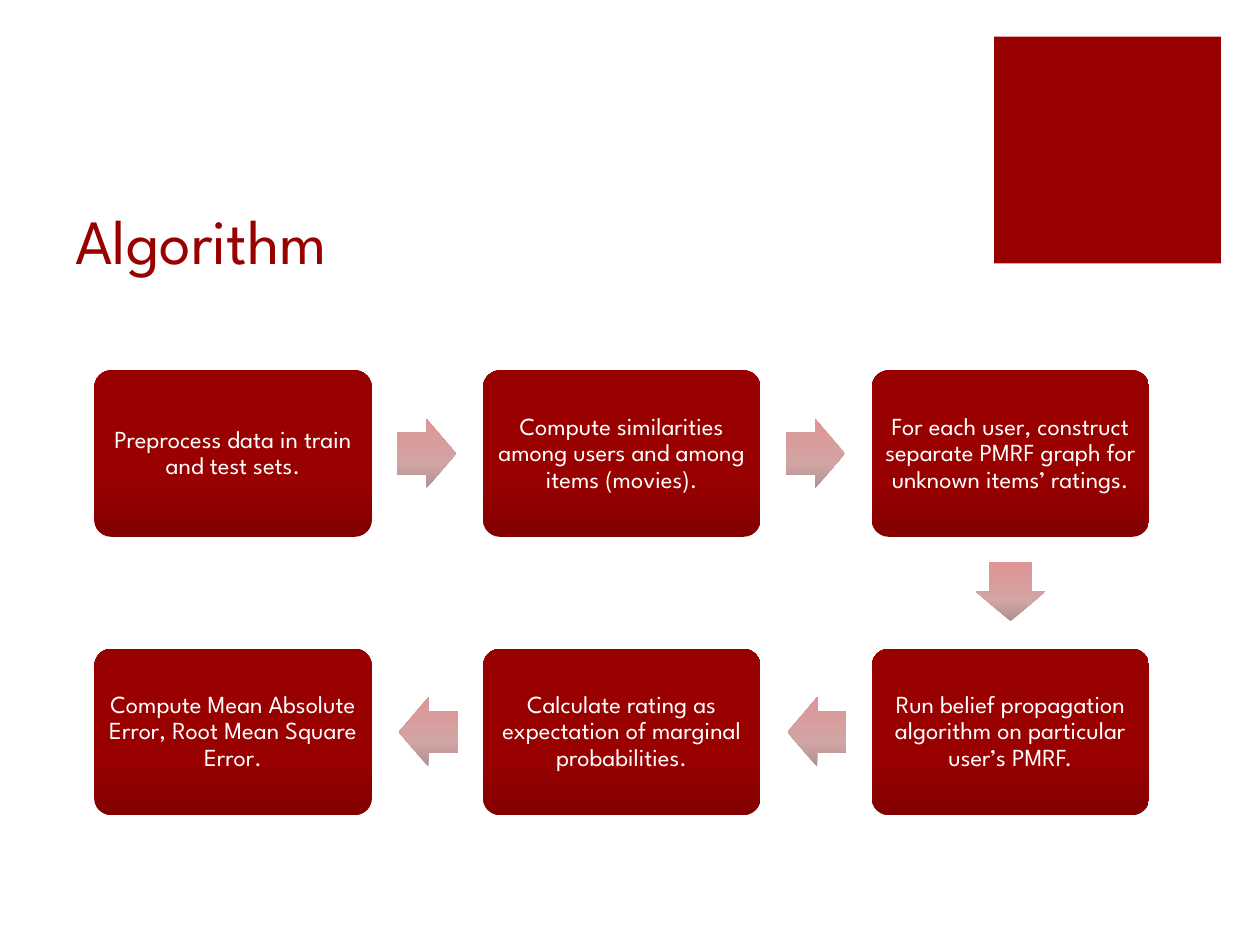
"""Builds the Algorithm slide: six steps in a winding flow."""
from dataclasses import dataclass
from itertools import pairwise
from math import atan2, degrees

from lxml import etree
from pptx import Presentation
from pptx import util as u
from pptx.dml.color import RGBColor
from pptx.enum import shapes, text
from pptx.oxml import ns

FONT = "League Spartan"
RED = "990000"
CARD = {0: "830000", 35: RED, 70: RED, 100: RED}
PALE = {0: "B09090", 35: "D2A4A4", 70: "D99C9C", 100: "E19494"}
LEFT, RIGHT, TOP = 0.75, 9.12, 2.94
WIDE, HIGH = 2.2, 1.32
COL = (RIGHT - LEFT - WIDE) / 2
ROW = 2.21
LONG, THICK, GAP = 0.47, 0.55, 0.2


@dataclass
class Step:
    col: int
    row: int
    words: str

    @property
    def mid(self) -> tuple[float, float]:
        return (LEFT + self.col * COL + WIDE / 2,
                TOP + self.row * ROW + HIGH / 2)


STEPS = [
    Step(0, 0, "Preprocess data in train and test sets."),
    Step(1, 0, "Compute similarities among users and among items (movies)."),
    Step(2, 0, "For each user, construct separate PMRF graph for unknown items’ ratings."),
    Step(2, 1, "Run belief propagation algorithm on particular user’s PMRF."),
    Step(1, 1, "Calculate rating as expectation of marginal probabilities."),
    Step(0, 1, "Compute Mean Absolute Error, Root Mean Square Error."),
]


def paint(color, code: str) -> None:
    color.rgb = RGBColor.from_string(code)


def shade(shape, stops: dict[int, str]) -> None:
    shape.fill.gradient()
    grad = shape.element.spPr.find(ns.qn("a:gradFill"))
    grad.set("rotWithShape", "0")
    shape.fill.gradient_angle = 90
    group = grad.find(ns.qn("a:gsLst"))
    for old in list(group):
        group.remove(old)
    for place, code in stops.items():
        stop = etree.SubElement(group, ns.qn("a:gs"), pos=str(place * 1000))
        etree.SubElement(stop, ns.qn("a:srgbClr"), val=code)


def block(slide, kind, mid: tuple[float, float], wide: float, high: float):
    x, y = mid
    shape = slide.shapes.add_shape(
        kind, u.Inches(x - wide / 2), u.Inches(y - high / 2),
        u.Inches(wide), u.Inches(high))
    shape.shadow.inherit = False
    shape.line.fill.background()
    return shape


def write(shape, words: str, size: int, code: str, anchor, align):
    frame = shape.text_frame
    frame.word_wrap = True
    frame.vertical_anchor = anchor
    para = frame.paragraphs[0]
    para.text = words
    para.alignment = align
    para.font.size = u.Pt(size)
    para.font.name = FONT
    paint(para.font.color, code)
    return frame


def card(slide, step: Step) -> None:
    shape = block(slide, shapes.MSO_SHAPE.ROUNDED_RECTANGLE, step.mid, WIDE, HIGH)
    shape.adjustments[0] = 0.1
    shade(shape, CARD)
    frame = write(shape, step.words, 14, "FFFFFF",
                  text.MSO_ANCHOR.MIDDLE, text.PP_ALIGN.CENTER)
    frame.margin_left = frame.margin_right = u.Inches(0.06)
    frame.margin_top = frame.margin_bottom = u.Inches(0.06)
    frame.paragraphs[0].line_spacing = 0.9


def arrow(slide, start: Step, end: Step) -> None:
    across, down = end.col - start.col, end.row - start.row
    x, y = start.mid
    reach = GAP + LONG / 2
    mid = (x + across * (WIDE / 2 + reach), y + down * (HIGH / 2 + reach))
    shape = block(slide, shapes.MSO_SHAPE.RIGHT_ARROW, mid, LONG, THICK)
    shape.adjustments[0] = 0.6
    shape.adjustments[1] = 0.5
    shape.rotation = degrees(atan2(down, across))
    shade(shape, PALE)


def main() -> None:
    deck = Presentation()
    deck.slide_width, deck.slide_height = u.Inches(10), u.Inches(7.5)
    slide = deck.slides.add_slide(deck.slide_layouts[6])
    square = block(slide, shapes.MSO_SHAPE.RECTANGLE, (8.79, 1.19), 1.8, 1.8)
    square.fill.solid()
    paint(square.fill.fore_color, RED)
    title = slide.shapes.add_textbox(
        u.Inches(0.5), u.Inches(1), u.Inches(7.12), u.Inches(1.25))
    write(title, "Algorithm", 36, RED,
          text.MSO_ANCHOR.BOTTOM, text.PP_ALIGN.LEFT)
    for step in STEPS:
        card(slide, step)
    for start, end in pairwise(STEPS):
        arrow(slide, start, end)
    deck.save("out.pptx")


main()
